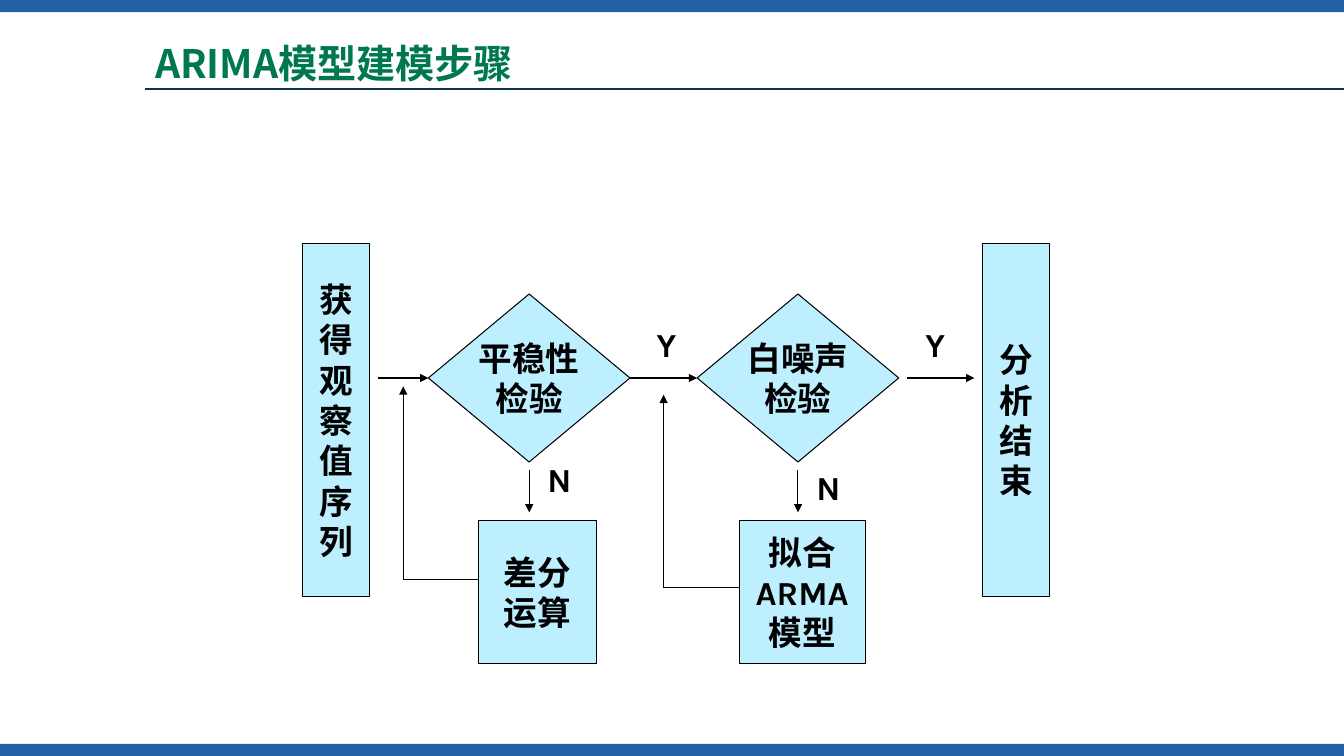
from lxml.etree import SubElement
from pptx import Presentation
from pptx.dml.color import RGBColor
from pptx.enum.shapes import MSO_CONNECTOR, MSO_SHAPE as SHAPE
from pptx.enum.text import MSO_ANCHOR as ANCHOR, PP_ALIGN as ALIGN
from pptx.oxml.ns import qn
from pptx.util import Pt

COLORS = {"bar": "2261A6", "title": "00784D", "rule": "113153",
          "box": "BDEFFF", "ink": "000000"}
LATIN, CJK = "Karla", "Noto Sans CJK SC"
WIDTH, HEIGHT, BAR = 960, 540, 8.64
FLOW_Y = 270


def color(name):
    return RGBColor.from_string(COLORS[name])


def write(tf, text, size=24, font=LATIN, ink="ink", align=ALIGN.LEFT,
          anchor=ANCHOR.TOP, wrap=True):
    tf.word_wrap = wrap
    tf.vertical_anchor = anchor
    for i, line in enumerate(text.split("\n")):
        p = tf.add_paragraph() if i else tf.paragraphs[0]
        p.alignment = align
        r = p.add_run()
        r.text = line
        r.font.size = Pt(size)
        r.font.name = font
        r.font.bold = True
        r.font.color.rgb = color(ink)
        SubElement(r.font._element, qn("a:ea"), typeface=CJK)


class FlowSlide:
    """Draws styled flowchart elements on one slide, measured in points."""

    def __init__(self, slide):
        self.s = slide

    def shape(self, kind, x, y, w, h, fill):
        sp = self.s.shapes.add_shape(kind, Pt(x), Pt(y), Pt(w), Pt(h))
        sp.shadow.inherit = False
        sp.fill.solid()
        sp.fill.fore_color.rgb = color(fill)
        return sp

    def bar(self, y):
        self.shape(SHAPE.RECTANGLE, 0, y, WIDTH, BAR, "bar").line.fill.background()

    def node(self, text, x, y, w, h, kind=SHAPE.RECTANGLE):
        sp = self.shape(kind, x, y, w, h, "box")
        sp.line.color.rgb = color("ink")
        sp.line.width = Pt(0.75)
        write(sp.text_frame, text, align=ALIGN.CENTER, anchor=ANCHOR.MIDDLE,
              wrap=False)

    def text(self, text, x, y, w=30, h=36, **fmt):
        box = self.s.shapes.add_textbox(Pt(x), Pt(y), Pt(w), Pt(h))
        write(box.text_frame, text, **fmt)

    def line(self, x1, y1, x2, y2, ink="ink", width=0.75, arrow=False):
        c = self.s.shapes.add_connector(MSO_CONNECTOR.STRAIGHT, Pt(x1), Pt(y1),
                                        Pt(x2), Pt(y2))
        c.line.color.rgb = color(ink)
        c.line.width = Pt(width)
        if arrow:
            SubElement(c.line._get_or_add_ln(), qn("a:tailEnd"), type="triangle")
        SubElement(c._element.spPr, qn("a:effectLst"))

    def feedback(self, x, y, back_x, top):
        self.line(back_x, y, x, y)
        self.line(back_x, y, back_x, top, arrow=True)


def main():
    prs = Presentation()
    prs.slide_width, prs.slide_height = Pt(WIDTH), Pt(HEIGHT)
    flow = FlowSlide(prs.slides.add_slide(prs.slide_layouts[6]))

    for y in (HEIGHT - BAR, 0):
        flow.bar(y)
    flow.text("ARIMA模型建模步骤", 103.68, 19.5, 803.5, 50.4, size=28, font=CJK,
              ink="title", anchor=ANCHOR.MIDDLE)
    flow.line(103.68, 63.36, WIDTH, 63.36, ink="rule", width=1.25)

    for text, x in (("获得观察值序列", 216), ("分析结束", 702)):
        flow.node("\n".join(text), x, 174, 48, 252)
    for text, x in (("平稳性\n检验", 306), ("白噪声\n检验", 498)):
        flow.node(text, x, 210, 144, 120, SHAPE.DIAMOND)
        flow.line(x + 72, 336, x + 72, 366, arrow=True)
    for text, x, w in (("差分\n运算", 342, 84), ("拟合\nARMA\n模型", 528, 90)):
        flow.node(text, x, 372, w, 102)

    for x1, x2 in ((270, 306), (450, 498), (648, 696)):
        flow.line(x1, FLOW_Y, x2, FLOW_Y, arrow=True)
    flow.feedback(342, 414, 288, 276)
    flow.feedback(528, 420, 474, 282)

    for text, x, y in (("Y", 462, 228), ("Y", 654, 228),
                       ("N", 384, 324), ("N", 576, 330)):
        flow.text(text, x, y)

    prs.save("out.pptx")


if __name__ == "__main__":
    main()
